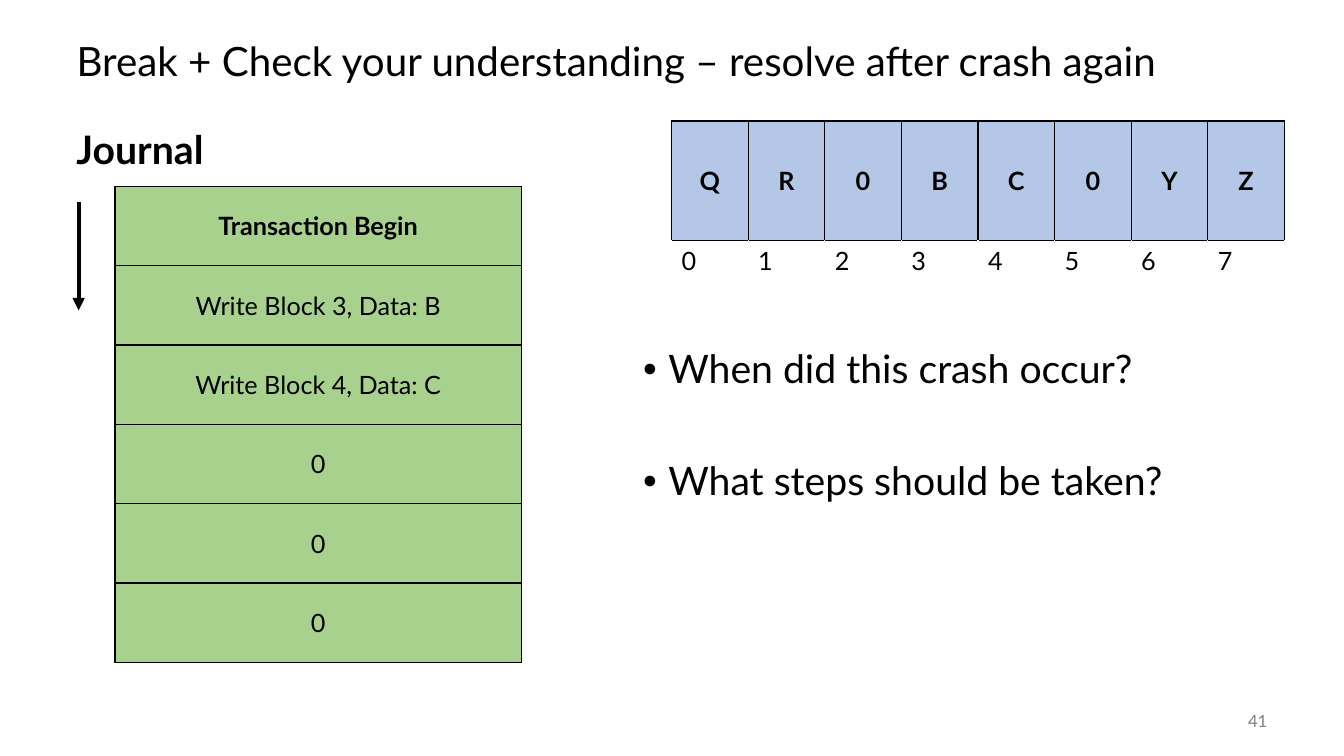
from lxml import etree
from pptx import Presentation
from pptx.dml.color import RGBColor
from pptx.enum.shapes import MSO_CONNECTOR
from pptx.enum.text import MSO_ANCHOR, MSO_AUTO_SIZE, PP_ALIGN
from pptx.oxml import parse_xml
from pptx.oxml.ns import qn
from pptx.util import Inches, Pt

LEFT, MID, RIGHT = PP_ALIGN.LEFT, PP_ALIGN.CENTER, PP_ALIGN.RIGHT
TOP, CENTER = MSO_ANCHOR.TOP, MSO_ANCHOR.MIDDLE
FIXED = MSO_AUTO_SIZE.NONE
LINE = MSO_CONNECTOR.STRAIGHT
BLACK, WHITE, GRAY = "000000", "FFFFFF", "808080"
BLUE, GREEN = "B4C7E7", "A9D18E"
NS = "http://schemas.openxmlformats.org/drawingml/2006/main"


def color(code):
    return RGBColor.from_string(code)


def apply(item, values):
    for name, value in values.items():
        setattr(item, name, value)


class Deck:
    face = "Lato"

    def __init__(self):
        self.show = Presentation()
        apply(self.show, {"slide_width": Inches(13.33), "slide_height": Inches(7.5)})
        self.slide = self.show.slides.add_slide(self.show.slide_layouts[5])

    def style(self, para, size, tint=BLACK, bold=False, **form):
        apply(para, form)
        apply(para.font, {"name": self.face, "size": Pt(size), "bold": bold})
        para.font.color.rgb = color(tint)

    def fill(self, frame, lines, size, anchor=TOP, bullet=False, gap=0, **form):
        apply(frame, {"word_wrap": True, "auto_size": FIXED, "vertical_anchor": anchor})
        for i, line in enumerate(lines):
            para = frame.add_paragraph() if i else frame.paragraphs[0]
            para.text = line
            if bullet:
                props = para._p.get_or_add_pPr()
                props.set("marL", str(Inches(0.25)))
                props.set("indent", str(-Inches(0.25)))
                etree.SubElement(props, qn("a:buFont")).set("typeface", "Arial")
                etree.SubElement(props, qn("a:buChar")).set("char", "•")
            self.style(para, size, space_before=Pt(gap if i else 0), **form)

    def title(self, box, text, size):
        shape = self.slide.shapes.title
        apply(shape, dict(zip(("left", "top", "width", "height"), map(Inches, box))))
        self.fill(shape.text_frame, [text], size, CENTER, alignment=LEFT, line_spacing=0.9)

    def text(self, box, lines, size, **form):
        shape = self.slide.shapes.add_textbox(*map(Inches, box))
        self.fill(shape.text_frame, lines, size, **form)

    def table(self, left, top, width, rows):
        wide = len(rows[0][0])
        high = [row[1] for row in rows]
        box = map(Inches, (left, top, width * wide, sum(high)))
        table = self.slide.shapes.add_table(len(rows), wide, *box).table
        apply(table, {"first_row": False, "horz_banding": False})
        for col in table.columns:
            col.width = Inches(width)
        for r, (words, height, form) in enumerate(rows):
            table.rows[r].height = Inches(height)
            for c, word in enumerate(words):
                self.cell(table.cell(r, c), word, **form)

    def cell(self, cell, word, tint=None, edge=BLACK, anchor=CENTER, align=MID, bold=False):
        cell.text = word
        cell.vertical_anchor = anchor
        self.style(cell.text_frame.paragraphs[0], 18, bold=bold, alignment=align)
        if tint:
            cell.fill.solid()
            cell.fill.fore_color.rgb = color(tint)
        else:
            cell.fill.background()
        props = cell._tc.get_or_add_tcPr()
        for i, side in enumerate("LRTB"):
            shade = BLACK if side == "T" else edge
            props.insert(i, parse_xml(
                f'<a:ln{side} xmlns:a="{NS}" w="{Pt(1)}"><a:solidFill>'
                f'<a:srgbClr val="{shade}"/></a:solidFill></a:ln{side}>'))

    def arrow(self, ends, width):
        line = self.slide.shapes.add_connector(LINE, *map(Inches, ends))
        line.line.width = Pt(width)
        line.line.color.rgb = color(BLACK)
        etree.SubElement(line.line._get_or_add_ln(), qn("a:tailEnd")).set("type", "triangle")
        etree.SubElement(line._element.spPr, qn("a:effectLst"))


def main():
    deck = Deck()
    deck.title((0.66, 0.25, 12, 0.75),
               "Break + Check your understanding – resolve after crash again", 28.8)
    deck.text((0.66, 1.25, 5.75, 0.6), ["Journal"], 28, bold=True, line_spacing=0.9)
    deck.text((11.67, 6.95, 1, 0.4), ["41"], 12, anchor=CENTER, tint=GRAY, alignment=RIGHT)
    deck.text((6.28, 3.42, 6.39, 3.33),
              ["When did this crash occur?", "What steps should be taken?"],
              28, bullet=True, gap=50, line_spacing=0.9)

    blocks = "QR0BC0YZ"
    marks = [str(i) for i in range(len(blocks))]
    deck.table(6.66, 1.2, 0.76, [
        (blocks, 1.19, {"tint": BLUE, "bold": True}),
        (marks, 0.53, {"edge": WHITE, "anchor": TOP, "align": LEFT}),
    ])

    steps = ["Transaction Begin", "Write Block 3, Data: B", "Write Block 4, Data: C",
             "0", "0", "0"]
    deck.table(1.14, 1.85, 4.03, [
        ([step], 0.787, {"tint": GREEN, "bold": i == 0}) for i, step in enumerate(steps)
    ])
    deck.arrow((0.78, 2, 0.78, 3.08), 3)
    deck.show.save("out.pptx")


if __name__ == "__main__":
    main()
